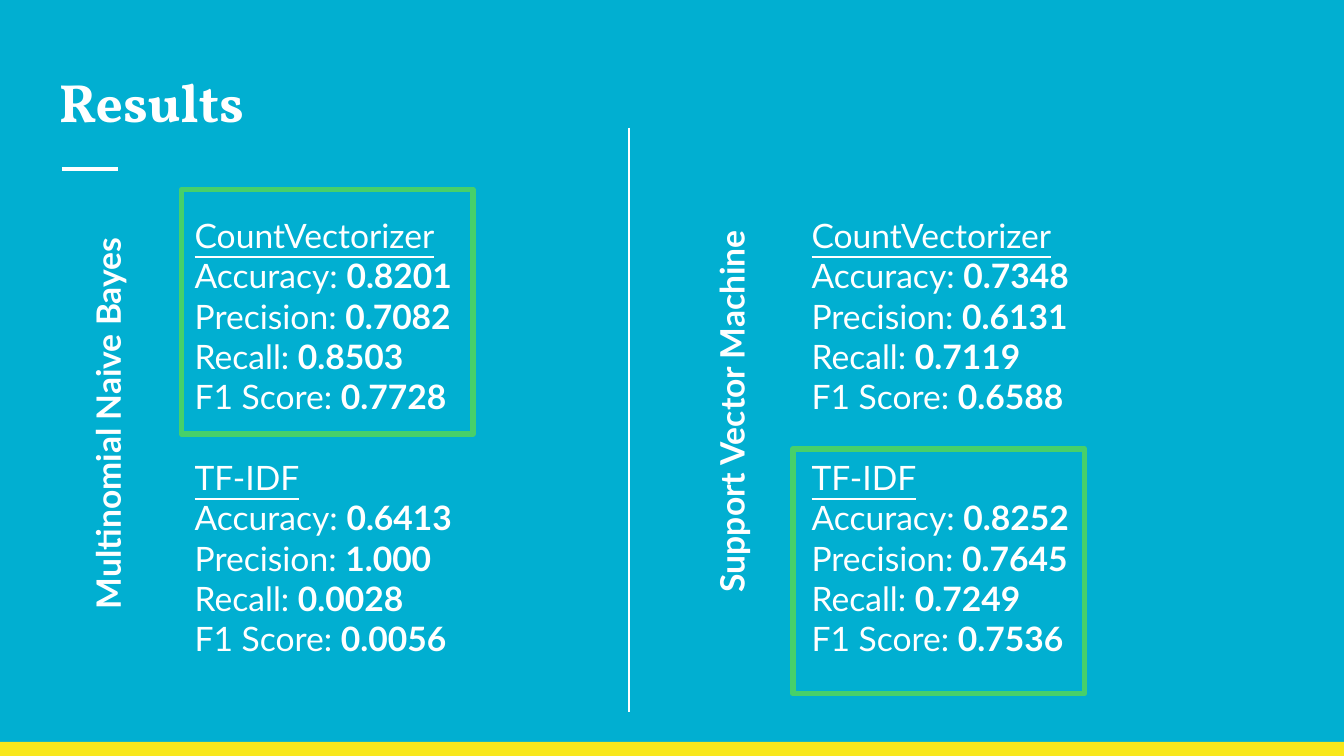
from pptx import Presentation
from pptx.dml.color import RGBColor
from pptx.enum.shapes import MSO_CONNECTOR, MSO_SHAPE
from pptx.enum.text import MSO_ANCHOR, PP_ALIGN
from pptx.util import Inches, Pt
from lxml import etree

STRAIGHT = MSO_CONNECTOR.STRAIGHT
RECTANGLE = MSO_SHAPE.RECTANGLE
TOP = MSO_ANCHOR.TOP
LEFT = PP_ALIGN.LEFT
CENTER = PP_ALIGN.CENTER

SLIDE_WIDTH = 10
SLIDE_HEIGHT = SLIDE_WIDTH * 9 / 16
BLUE = "01AFD1"
YELLOW = "F8E71C"
GREEN = "47D06A"
WHITE = "FFFFFF"
DRAWING_NAMESPACE = "http://schemas.openxmlformats.org/drawingml/2006/main"

METRICS = ("Accuracy", "Precision", "Recall", "F1 Score")
BAYES_SCORES = {
    "CountVectorizer": ("0.8201", "0.7082", "0.8503", "0.7728"),
    "TF-IDF": ("0.6413", "1.000", "0.0028", "0.0056"),
}
SUPPORT_VECTOR_SCORES = {
    "CountVectorizer": ("0.7348", "0.6131", "0.7119", "0.6588"),
    "TF-IDF": ("0.8252", "0.7645", "0.7249", "0.7536"),
}


def color(value):
    return RGBColor.from_string(value)


def add_line(slide, start_x, start_y, end_x, end_y, width):
    line = slide.shapes.add_connector(
        STRAIGHT, Inches(start_x), Inches(start_y), Inches(end_x), Inches(end_y)
    )
    line.line.color.rgb = color(WHITE)
    line.line.width = Pt(width)
    properties = line._element.spPr
    etree.SubElement(properties, f"{{{DRAWING_NAMESPACE}}}effectLst")


def add_rectangle(slide, left, top, width, height):
    shape = slide.shapes.add_shape(
        RECTANGLE, Inches(left), Inches(top), Inches(width), Inches(height)
    )
    shape.shadow.inherit = False
    return shape


def add_text_box(slide, left, top, width, height):
    box = slide.shapes.add_textbox(
        Inches(left), Inches(top), Inches(width), Inches(height)
    )
    frame = box.text_frame
    frame.word_wrap = True
    frame.vertical_anchor = TOP
    frame.margin_left = frame.margin_right = Inches(0.1)
    frame.margin_top = frame.margin_bottom = Inches(0.1)
    return box


def style_paragraph(paragraph, size=18, name="Lato", bold=False, alignment=LEFT):
    paragraph.alignment = alignment
    font = paragraph.font
    font.size = Pt(size)
    font.name = name
    font.bold = bold
    font.color.rgb = color(WHITE)


def add_run(paragraph, text):
    run = paragraph.add_run()
    run.text = text
    return run


def add_title(slide, left, top):
    box = add_text_box(slide, left, top, 9.32, 0.71)
    paragraph = box.text_frame.paragraphs[0]
    add_run(paragraph, "Results")
    style_paragraph(paragraph, 28.8, "Vollkorn", True)
    add_line(slide, left + 0.12, top + 0.85, left + 0.54, top + 0.85, 2.25)


def add_model_name(slide, center_x, center_y, name):
    width, height = 3.54, 0.46
    box = add_text_box(
        slide, center_x - width / 2, center_y - height / 2, width, height
    )
    box.rotation = 270
    paragraph = box.text_frame.paragraphs[0]
    add_run(paragraph, name)
    style_paragraph(paragraph, bold=True, alignment=CENTER)


def add_scores(slide, left, top, scores):
    frame = add_text_box(slide, left, top, 2.29, 3.84).text_frame
    paragraph = frame.paragraphs[0]
    for index, (vectorizer, values) in enumerate(scores.items()):
        if index:
            paragraph = frame.add_paragraph()
            paragraph.space_before = Pt(21.6)
        add_run(paragraph, vectorizer).font.underline = True
        style_paragraph(paragraph)
        for metric, value in zip(METRICS, values):
            paragraph = frame.add_paragraph()
            style_paragraph(paragraph)
            add_run(paragraph, f"{metric}: ")
            add_run(paragraph, value).font.bold = True


def add_highlight(slide, left, top):
    frame = add_rectangle(slide, left, top, 2.17, 1.82)
    frame.fill.background()
    frame.line.color.rgb = color(GREEN)
    frame.line.width = Pt(3)


def add_footer_band(slide, top):
    band = add_rectangle(slide, 0, top, SLIDE_WIDTH, SLIDE_HEIGHT - top)
    band.fill.solid()
    band.fill.fore_color.rgb = color(YELLOW)
    band.line.fill.background()


def build_results_slide(presentation):
    slide = presentation.slides.add_slide(presentation.slide_layouts[6])
    slide.background.fill.solid()
    slide.background.fill.fore_color.rgb = color(BLUE)
    add_footer_band(slide, 5.52)
    add_title(slide, 0.34, 0.41)
    add_scores(slide, 1.35, 1.5, BAYES_SCORES)
    add_scores(slide, 5.94, 1.5, SUPPORT_VECTOR_SCORES)
    add_model_name(slide, 0.78, 3.15, "Multinomial Naive Bayes")
    add_model_name(slide, 5.42, 3.06, "Support Vector Machine")
    add_line(slide, 4.68, 0.95, 4.68, 5.3, 0.75)
    add_highlight(slide, 1.35, 1.41)
    add_highlight(slide, 5.9, 3.34)


def main():
    presentation = Presentation()
    presentation.slide_width = Inches(SLIDE_WIDTH)
    presentation.slide_height = Inches(SLIDE_HEIGHT)
    build_results_slide(presentation)
    presentation.save("out.pptx")


if __name__ == "__main__":
    main()
